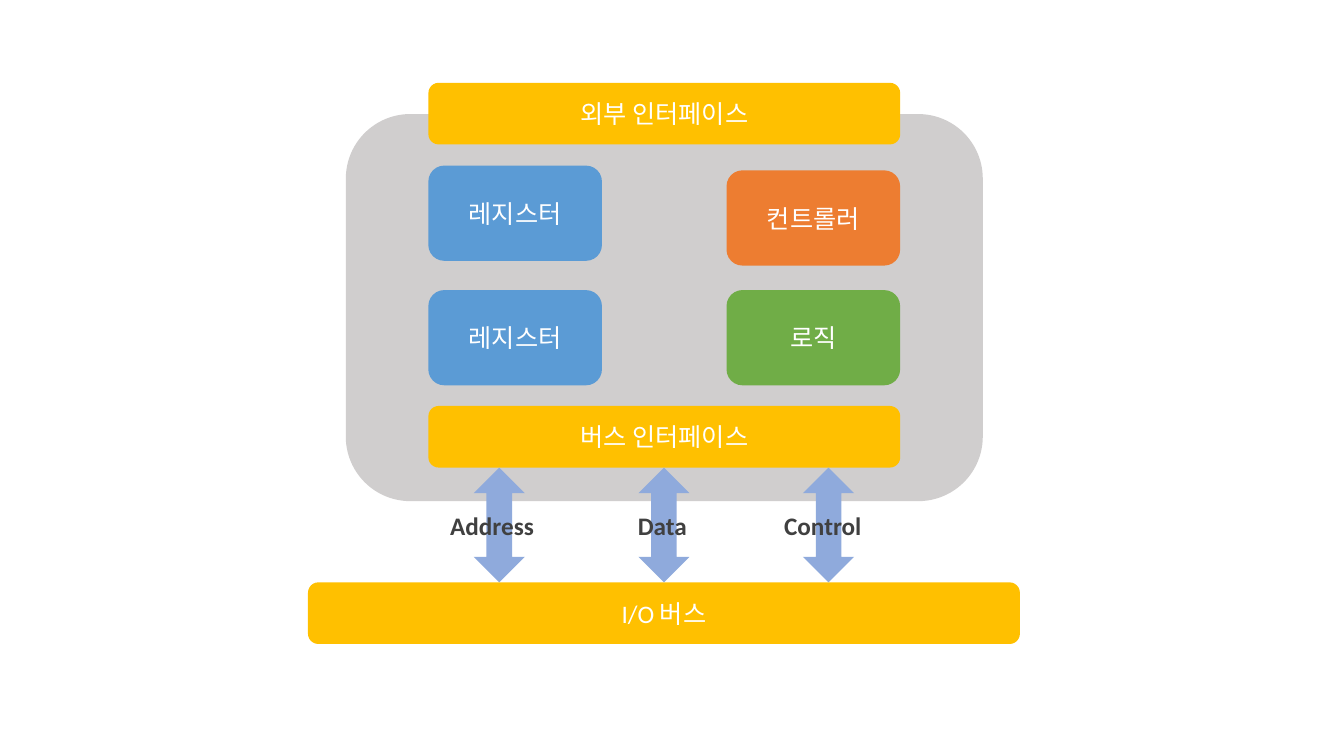
"""Builds a slide showing an I/O controller between its external interface and the I/O bus."""
from dataclasses import dataclass

from pptx import Presentation
from pptx.dml.color import RGBColor
from pptx.enum.shapes import MSO_SHAPE as Preset
from pptx.enum.text import MSO_ANCHOR as Anchor, MSO_AUTO_SIZE as AutoSize, PP_ALIGN as Align
from pptx.util import Pt


@dataclass(frozen=True)
class Theme:
    font: str = "Calibri"
    size: float = 18
    panel: str = "D0CECE"
    interface: str = "FFC000"
    register: str = "5B9BD5"
    controller: str = "ED7D31"
    logic: str = "70AD47"
    arrow: str = "8FAADC"
    light: str = "FFFFFF"
    dark: str = "404040"


class DiagramSlide:
    def __init__(self, presentation, theme):
        self.theme = theme
        self.slide = presentation.slides.add_slide(presentation.slide_layouts[6])

    def add_text(self, shape, text, color, align, bold=False):
        paragraph = shape.text_frame.paragraphs[0]
        paragraph.alignment = align
        run = paragraph.add_run()
        run.text = text
        font_format = {"name": self.theme.font, "size": Pt(self.theme.size), "bold": bold}
        for name, value in font_format.items():
            setattr(run.font, name, value)
        run.font.color.rgb = RGBColor.from_string(color)

    def add_preset(self, preset, box, fill):
        shape = self.slide.shapes.add_shape(preset, *map(Pt, box))
        shape.shadow.inherit = False
        shape.fill.solid()
        shape.fill.fore_color.rgb = RGBColor.from_string(fill)
        shape.line.fill.background()
        return shape

    def add_block(self, text, box, fill):
        block = self.add_preset(Preset.ROUNDED_RECTANGLE, box, fill)
        block.text_frame.vertical_anchor = Anchor.MIDDLE
        self.add_text(block, text, self.theme.light, Align.CENTER)

    def add_label(self, text, box):
        label = self.slide.shapes.add_textbox(*map(Pt, box))
        frame_format = {"word_wrap": True, "auto_size": AutoSize.SHAPE_TO_FIT_TEXT}
        for name, value in frame_format.items():
            setattr(label.text_frame, name, value)
        self.add_text(label, text, self.theme.dark, Align.LEFT, bold=True)


def main():
    presentation = Presentation()
    presentation.slide_width, presentation.slide_height = Pt(960), Pt(540)
    theme = Theme()
    diagram = DiagramSlide(presentation, theme)

    diagram.add_preset(Preset.ROUNDED_RECTANGLE, (247, 81.5, 455, 276.5), theme.panel)

    left, right, bar_width, bar_height = 306, 519, 337, 44
    external_top, internal_top, bus_top = 59.2, 290, 416
    for text, top in (("외부 인터페이스", external_top), ("버스 인터페이스", internal_top)):
        diagram.add_block(text, (left, top, bar_width, bar_height), theme.interface)

    units = (
        ("레지스터", left, 118.3, theme.register),
        ("레지스터", left, 207.2, theme.register),
        ("컨트롤러", right, 121.7, theme.controller),
        ("로직", right, 207.2, theme.logic),
    )
    for text, unit_left, top, fill in units:
        diagram.add_block(text, (unit_left, top, 124, 68), fill)

    diagram.add_block("I/O 버스", (220, bus_top, 508.5, bar_height), theme.interface)

    first_arrow, arrow_step = 338.4, 117.6
    arrow_top = internal_top + bar_height
    for index in range(3):
        arrow_left = first_arrow + index * arrow_step
        arrow_box = (arrow_left, arrow_top, 36.5, bus_top - arrow_top)
        diagram.add_preset(Preset.UP_DOWN_ARROW, arrow_box, theme.arrow)

    for text, label_left in (("Address", 314.5), ("Data", 448.5), ("Control", 553)):
        diagram.add_label(text, (label_left, 361, 84, 29))

    presentation.save("out.pptx")


if __name__ == "__main__":
    main()
